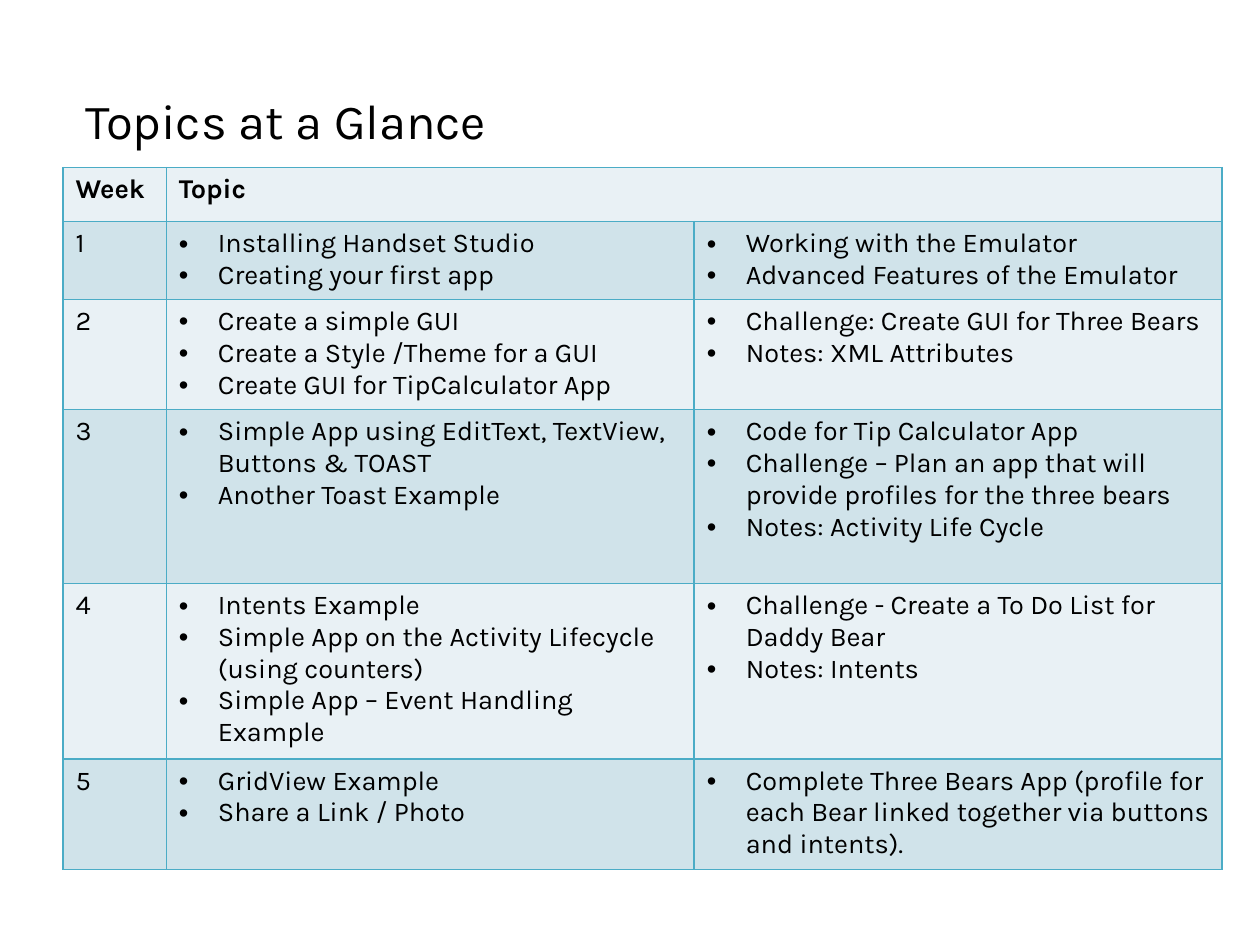
from lxml import etree
from pptx import Presentation
from pptx import util as u
from pptx.dml.color import RGBColor
from pptx.enum import text
from pptx.oxml.ns import qn

WIDE, HIGH = 10, 7.5
FONT, INK, EDGE = "Karla", "000000", "4BACC6"
BANDS = ["E9F1F5", "D0E3EA"]
COLS = [0.82, 4.19, 4.19]
ROWS = [0.43, 0.6, 0.86, 1.38, 1.36, 0.86]
HEADS = ["Week", "Topic"]
WEEKS = [
    (["Installing Handset Studio", "Creating your first app"],
     ["Working with the Emulator", "Advanced Features of the Emulator"]),
    (["Create a simple GUI", "Create a Style /Theme for a GUI",
      "Create GUI for TipCalculator App"],
     ["Challenge: Create GUI for Three Bears", "Notes: XML Attributes"]),
    (["Simple App using EditText, TextView, Buttons & TOAST",
      "Another Toast Example"],
     ["Code for Tip Calculator App",
      "Challenge – Plan an app that will provide profiles for the three bears",
      "Notes: Activity Life Cycle"]),
    (["Intents Example",
      "Simple App on the Activity Lifecycle (using counters)",
      "Simple App – Event Handling Example"],
     ["Challenge - Create a To Do List for Daddy Bear", "Notes: Intents"]),
    (["GridView Example", "Share a Link / Photo"],
     ["Complete Three Bears App (profile for each Bear linked together "
      "via buttons and intents)."]),
]


def tint(code):
    return RGBColor.from_string(code)


def style(run, **form):
    for name, value in {"name": FONT, **form}.items():
        setattr(run.font, name, value)
    run.font.color.rgb = tint(INK)


def bullet(para):
    props = para._p.get_or_add_pPr()
    props.set("marL", str(u.Inches(0.31)))
    props.set("indent", str(u.Inches(-0.31)))
    etree.SubElement(props, qn("a:buFont")).set("typeface", "Arial")
    etree.SubElement(props, qn("a:buChar")).set("char", "•")


def frame(cell):
    """Draw the four borders of a cell, ahead of its fill."""
    props = cell._tc.get_or_add_tcPr()
    for spot, side in enumerate(["lnL", "lnR", "lnT", "lnB"]):
        line = etree.Element(qn("a:" + side), w=str(u.Pt(1)))
        fill = etree.SubElement(line, qn("a:solidFill"))
        etree.SubElement(fill, qn("a:srgbClr")).set("val", EDGE)
        props.insert(spot, line)


def write(cell, lines, dots=False, bold=False):
    body = cell.text_frame
    for spot, words in enumerate(lines):
        para = body.add_paragraph() if spot else body.paragraphs[0]
        if dots:
            bullet(para)
        run = para.add_run()
        run.text = words
        style(run, size=u.Pt(15.5), bold=bold)


def title(slide, box, words):
    body = slide.shapes.add_textbox(*map(u.Inches, box)).text_frame
    body.word_wrap = True
    body.vertical_anchor = text.MSO_ANCHOR.TOP
    run = body.paragraphs[0].add_run()
    run.text = words
    style(run, size=u.Pt(28))


def plan(slide, box):
    """Place the table of weeks, its grid scaled to the box."""
    left, top, wide, high = box
    table = slide.shapes.add_table(len(ROWS), len(COLS),
                                   *map(u.Inches, box)).table
    for col, part in zip(table.columns, COLS):
        col.width = u.Inches(wide * part / sum(COLS))
    for row, part in zip(table.rows, ROWS):
        row.height = u.Inches(high * part / sum(ROWS))
    for r in range(len(ROWS)):
        for c in range(len(COLS)):
            cell = table.cell(r, c)
            cell.fill.solid()
            cell.fill.fore_color.rgb = tint(BANDS[r % 2])
            frame(cell)
    table.cell(0, 1).merge(table.cell(0, 2))
    for c, head in enumerate(HEADS):
        write(table.cell(0, c), [head], bold=True)
    for r, topics in enumerate(WEEKS, 1):
        write(table.cell(r, 0), [str(r)])
        for c, lines in enumerate(topics, 1):
            write(table.cell(r, c), lines, dots=True)


def main():
    deck = Presentation()
    deck.slide_width, deck.slide_height = u.Inches(WIDE), u.Inches(HIGH)
    slide = deck.slides.add_slide(deck.slide_layouts[6])
    title(slide, (0.58, 0.67, 0.9 * WIDE, 1), "Topics at a Glance")
    plan(slide, (0.5, 1.33, 0.92 * WIDE, sum(ROWS)))
    deck.save("out.pptx")


if __name__ == "__main__":
    main()
